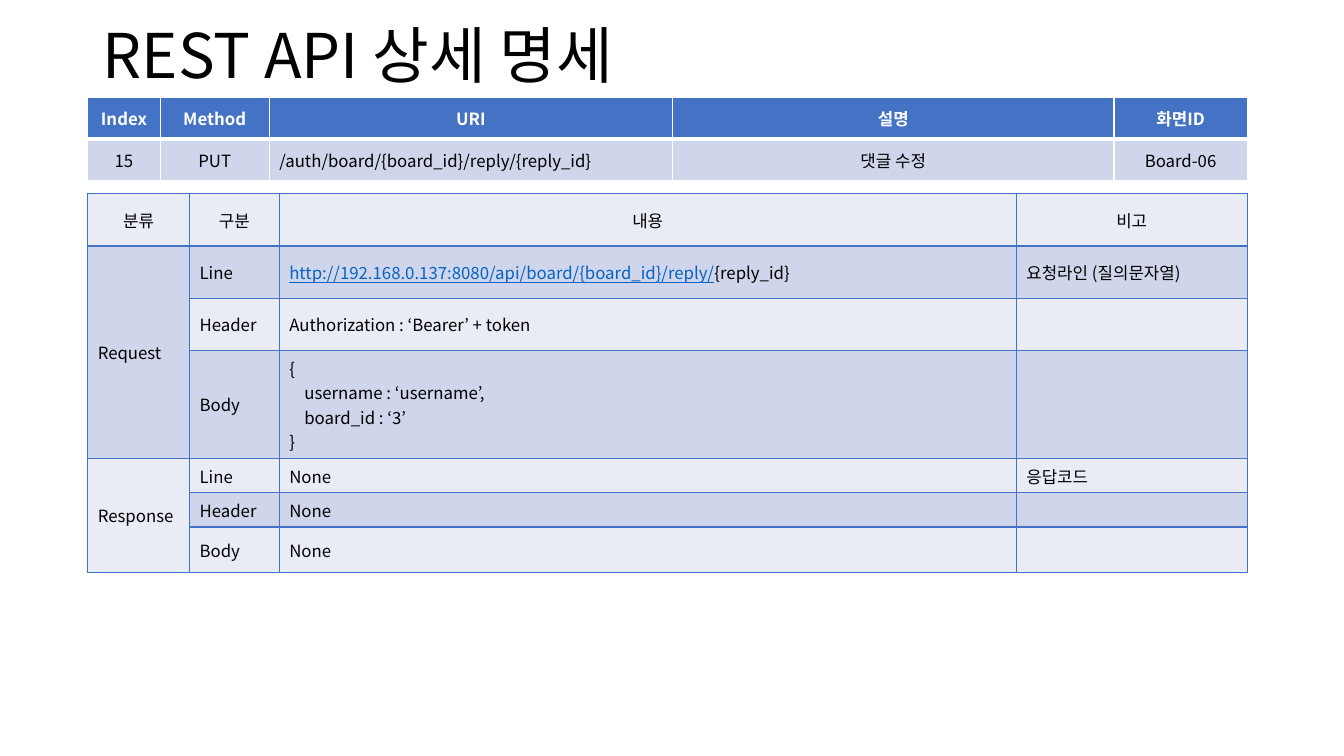
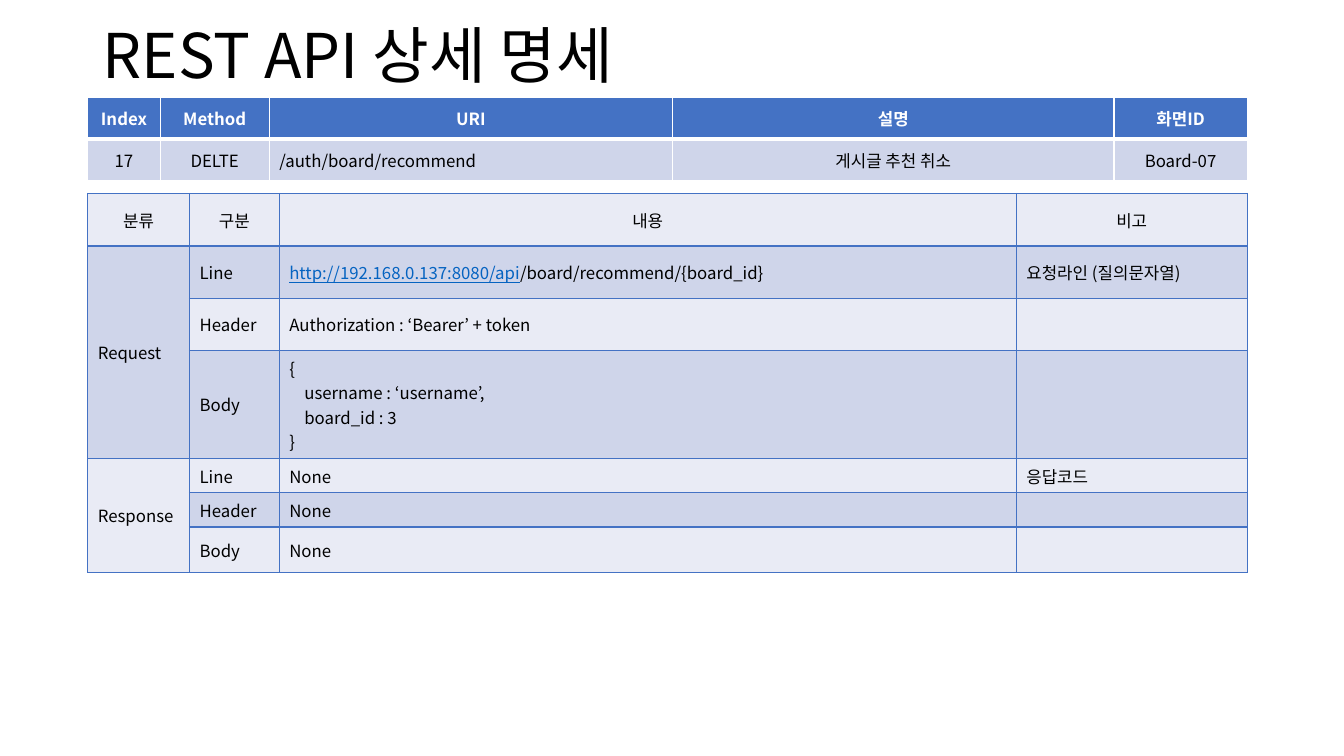
from pptx import Presentation
from pptx.dml.color import RGBColor
from pptx.enum.text import MSO_ANCHOR, PP_ALIGN
from pptx.oxml.xmlchemy import OxmlElement
from pptx.util import Inches, Pt

# Shared style
FONT = "Noto Sans CJK KR"
BLACK, WHITE, LINK = "000000", "FFFFFF", "0563C1"
BLUE, DARK_BAND, LIGHT_BAND = "4472C4", "CFD5EA", "E9EBF5"
TEXT_SIZE, TITLE_SIZE = 12, 44
TITLE = "REST API 상세 명세"
TABLE_LEFT = 0.87

SUMMARY_COLUMNS = [0.72, 1.08, 4, 4.38, 1.32]
SUMMARY_HEADINGS = ["Index", "Method", "URI", "설명", "화면ID"]
URI_COLUMN = 2
DETAIL_COLUMNS = [1.01, 0.89, 7.31, 2.29]
# The request body holds four lines of text
DETAIL_ROWS = [0.52, 0.52, 0.52, 1.07, 0.34, 0.34, 0.45]
DETAIL_HEADINGS = ["분류", "구분", "내용", "비고"]

# One entry per page: summary row, linked and plain part of the address, board id
ENDPOINTS = [
    (["15", "PUT", "/auth/board/{board_id}/reply/{reply_id}", "댓글 수정", "Board-06"],
     "http://192.168.0.137:8080/api/board/{board_id}/reply/", "{reply_id}", "‘3’"),
    (["17", "DELTE", "/auth/board/recommend", "게시글 추천 취소", "Board-07"],
     "http://192.168.0.137:8080/api", "/board/recommend/{board_id}", "3"),
]


def colour(code):
    return RGBColor.from_string(code)


def add_span(para, text, size=TEXT_SIZE, code=BLACK, bold=False, underline=False):
    span = para.add_run()
    span.text = text
    font = span.font
    font.name, font.size = FONT, Pt(size)
    font.bold, font.underline = bold, underline
    font.color.rgb = colour(code)
    east_asian = OxmlElement("a:ea")
    east_asian.set("typeface", FONT)
    font._element.find("{*}latin").addnext(east_asian)


def set_borders(cell, code, top=1, bottom=1):
    properties = cell._tc.get_or_add_tcPr()
    for side, width in (("L", 1), ("R", 1), ("T", top), ("B", bottom)):
        line = OxmlElement(f"a:ln{side}")
        line.set("w", str(Pt(width)))
        fill = OxmlElement("a:solidFill")
        value = OxmlElement("a:srgbClr")
        value.set("val", code)
        fill.append(value)
        line.append(fill)
        properties.append(line)


def fill_cell(cell, content, fill, centred, code=BLACK, bold=False):
    """Content is a string, or a list of (text, colour, underlined) parts."""
    cell.fill.solid()
    cell.fill.fore_color.rgb = colour(fill)
    cell.vertical_anchor = MSO_ANCHOR.MIDDLE
    frame = cell.text_frame
    parts = [(content, code, False)] if isinstance(content, str) else content
    para = frame.paragraphs[0]
    for text, part_code, underline in parts:
        for number, line in enumerate(text.split("\n")):
            if number:
                para = frame.add_paragraph()
            if line:
                add_span(para, line, code=part_code, bold=bold, underline=underline)
    for para in frame.paragraphs:
        para.alignment = PP_ALIGN.CENTER if centred else PP_ALIGN.LEFT
        # Keeps the rows with empty cells low
        end = OxmlElement("a:endParaRPr")
        end.set("sz", str(TEXT_SIZE * 100))
        para._p.append(end)


def add_grid(page, left, top, columns, rows):
    table = page.shapes.add_table(
        len(rows), len(columns), Inches(left), Inches(top),
        Inches(sum(columns)), Inches(sum(rows))).table
    table.first_row = table.horz_banding = False
    for column, width in zip(table.columns, columns):
        column.width = Inches(width)
    for row, height in zip(table.rows, rows):
        row.height = Inches(height)
    return table


def add_title(page, left, top, width, height):
    box = page.shapes.add_textbox(Inches(left), Inches(top), Inches(width), Inches(height))
    frame = box.text_frame
    frame.word_wrap = True
    frame.vertical_anchor = MSO_ANCHOR.MIDDLE
    para = frame.paragraphs[0]
    para.line_spacing = 0.9
    add_span(para, TITLE, size=TITLE_SIZE)


def add_summary(page, left, top, values):
    table = add_grid(page, left, top, SUMMARY_COLUMNS, [0.41, 0.41])
    for index, (heading, value) in enumerate(zip(SUMMARY_HEADINGS, values)):
        head, body = table.cell(0, index), table.cell(1, index)
        set_borders(head, WHITE, bottom=3)
        set_borders(body, WHITE, top=3)
        fill_cell(head, heading, BLUE, True, WHITE, bold=True)
        fill_cell(body, value, DARK_BAND, index != URI_COLUMN)


def add_details(page, left, top, linked, plain, board_id):
    address = [(linked, LINK, True), (plain, BLACK, False)]
    request_body = f"{{\n    username : ‘username’,\n    board_id : {board_id}\n}}"
    contents = [
        DETAIL_HEADINGS,
        ["Request", "Line", address, "요청라인 (질의문자열)"],
        ["", "Header", "Authorization : ‘Bearer’ + token", ""],
        ["", "Body", request_body, ""],
        ["Response", "Line", "None", "응답코드"],
        ["", "Header", "None", ""],
        ["", "Body", "None", ""],
    ]
    table = add_grid(page, left, top, DETAIL_COLUMNS, DETAIL_ROWS)
    for row, values in enumerate(contents):
        band = DARK_BAND if row % 2 else LIGHT_BAND
        for column, value in enumerate(values):
            cell = table.cell(row, column)
            set_borders(cell, BLUE)
            fill_cell(cell, value, band, row == 0)
    # Request and Response each span three rows
    for first in (1, 4):
        table.cell(first, 0).merge(table.cell(first + 2, 0))


def add_endpoint_page(deck, summary, linked, plain, board_id):
    page = deck.slides.add_slide(deck.slide_layouts[6])
    add_title(page, 0.92, -0.14, 11.5, 1.45)
    add_summary(page, TABLE_LEFT, 0.97, summary)
    add_details(page, TABLE_LEFT, 1.92, linked, plain, board_id)


def main():
    deck = Presentation()
    deck.slide_width, deck.slide_height = Inches(13.33), Inches(7.5)
    for endpoint in ENDPOINTS:
        add_endpoint_page(deck, *endpoint)
    deck.save("out.pptx")


if __name__ == "__main__":
    main()
